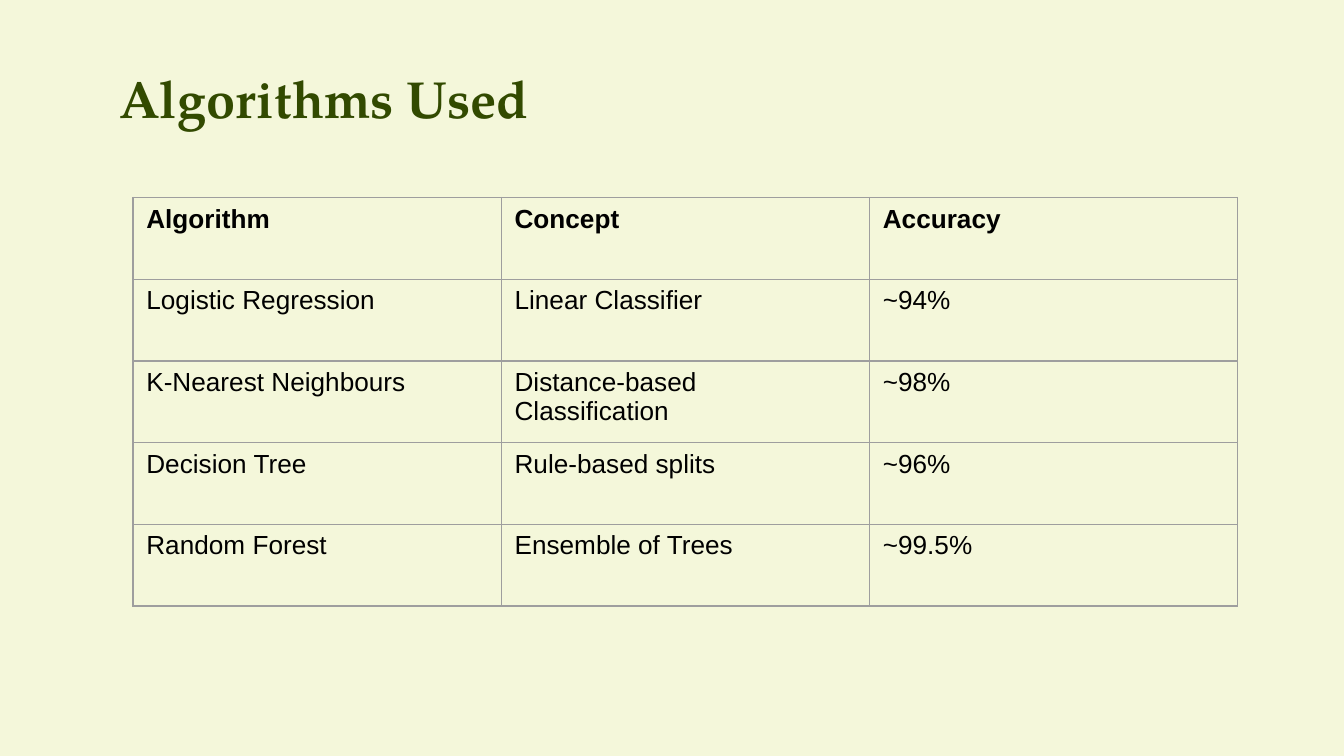
from typing import NamedTuple

from lxml.etree import SubElement
from pptx import Presentation
from pptx.dml.color import RGBColor
from pptx.enum.text import MSO_ANCHOR as Anchor
from pptx.oxml.ns import qn
from pptx.util import Inches, Pt

WIDTH = Inches(10)
HEIGHT = WIDTH * 9 // 16
TABLE_WIDTH, TABLE_HEIGHT = Inches(8.22), Inches(3.04)
COLORS = {"page": "F4F7DA", "title": "324A00", "text": "000000", "border": "9E9E9E"}


class Algorithm(NamedTuple):
    name: str
    concept: str
    accuracy: str


HEADER = Algorithm("Algorithm", "Concept", "Accuracy")
ALGORITHMS = [
    Algorithm("Logistic Regression", "Linear Classifier", "~94%"),
    Algorithm("K-Nearest Neighbours", "Distance-based Classification", "~98%"),
    Algorithm("Decision Tree", "Rule-based splits", "~96%"),
    Algorithm("Random Forest", "Ensemble of Trees", "~99.5%"),
]


def write_text(frame, text: str, font: str, size: float, color: str, bold: bool) -> None:
    frame.text = text
    for span in frame.paragraphs[0].runs:
        span.font.name = font
        span.font.size = Pt(size)
        span.font.bold = bold
        span.font.color.rgb = RGBColor.from_string(COLORS[color])


def add_borders(cell) -> None:
    properties = cell._tc.get_or_add_tcPr()
    for index, side in enumerate(("lnL", "lnR", "lnT", "lnB")):
        line = SubElement(properties, qn(f"a:{side}"), w=str(Pt(0.75)))
        fill = SubElement(line, qn("a:solidFill"))
        SubElement(fill, qn("a:srgbClr"), val=COLORS["border"])
        properties.insert(index, line)


def add_title(page, text: str) -> None:
    box = page.shapes.add_textbox(
        Inches(0.79), Inches(0.4), Inches(7.05), Inches(0.65)
    )
    frame = box.text_frame
    frame.word_wrap = True
    frame.vertical_anchor = Anchor.MIDDLE
    frame.margin_top = frame.margin_bottom = Inches(0.1)
    write_text(frame, text, "TeX Gyre Pagella", 28, "title", True)


def add_algorithm_table(page, rows: list[Algorithm]) -> None:
    table = page.shapes.add_table(
        len(rows), len(HEADER), (WIDTH - TABLE_WIDTH) * 5 // 9, Inches(1.47),
        TABLE_WIDTH, TABLE_HEIGHT,
    ).table
    table.first_row = table.horz_banding = False
    for row_index, row in enumerate(rows):
        for column_index, text in enumerate(row):
            cell = table.cell(row_index, column_index)
            cell.fill.background()
            add_borders(cell)
            write_text(cell.text_frame, text, "Arial", 14, "text", row is HEADER)


def main() -> None:
    deck = Presentation()
    deck.slide_width, deck.slide_height = WIDTH, HEIGHT
    page = deck.slides.add_slide(deck.slide_layouts[6])
    page.background.fill.solid()
    page.background.fill.fore_color.rgb = RGBColor.from_string(COLORS["page"])
    add_title(page, "Algorithms Used")
    add_algorithm_table(page, [HEADER, *ALGORITHMS])
    deck.save("out.pptx")


if __name__ == "__main__":
    main()
